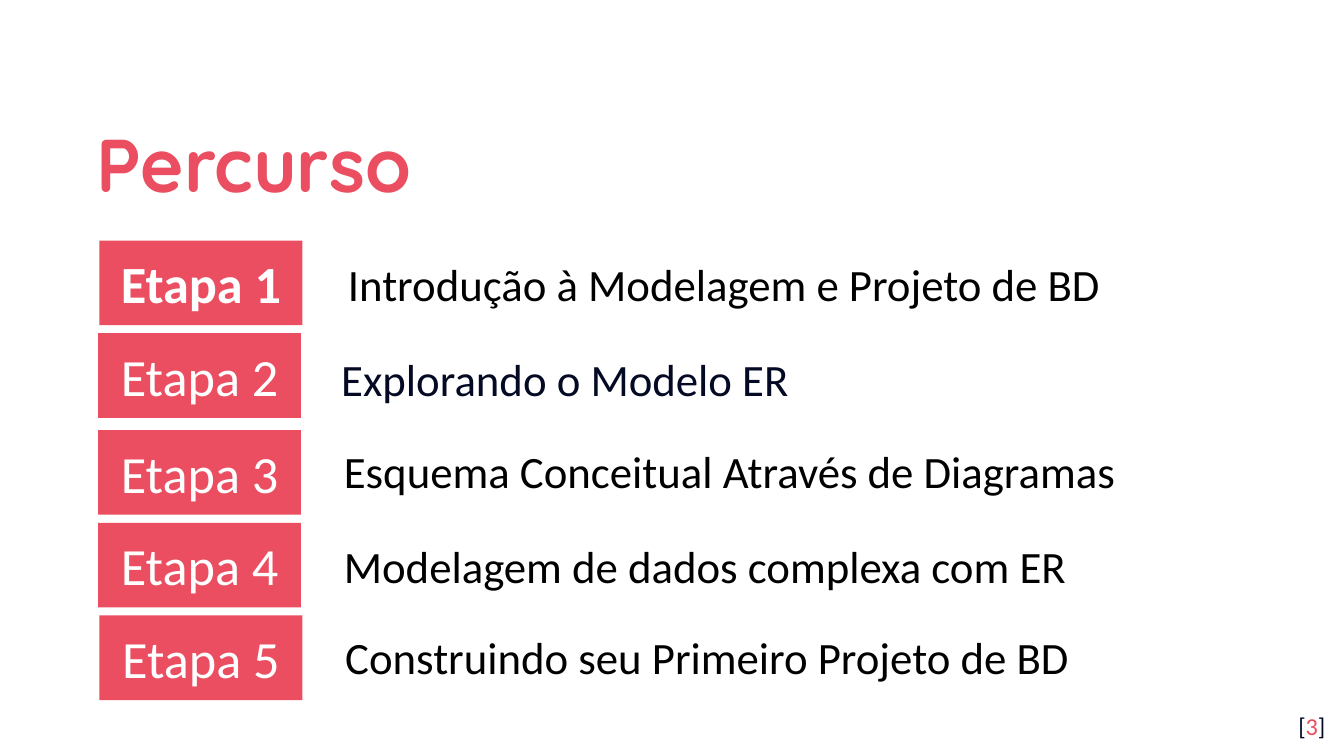
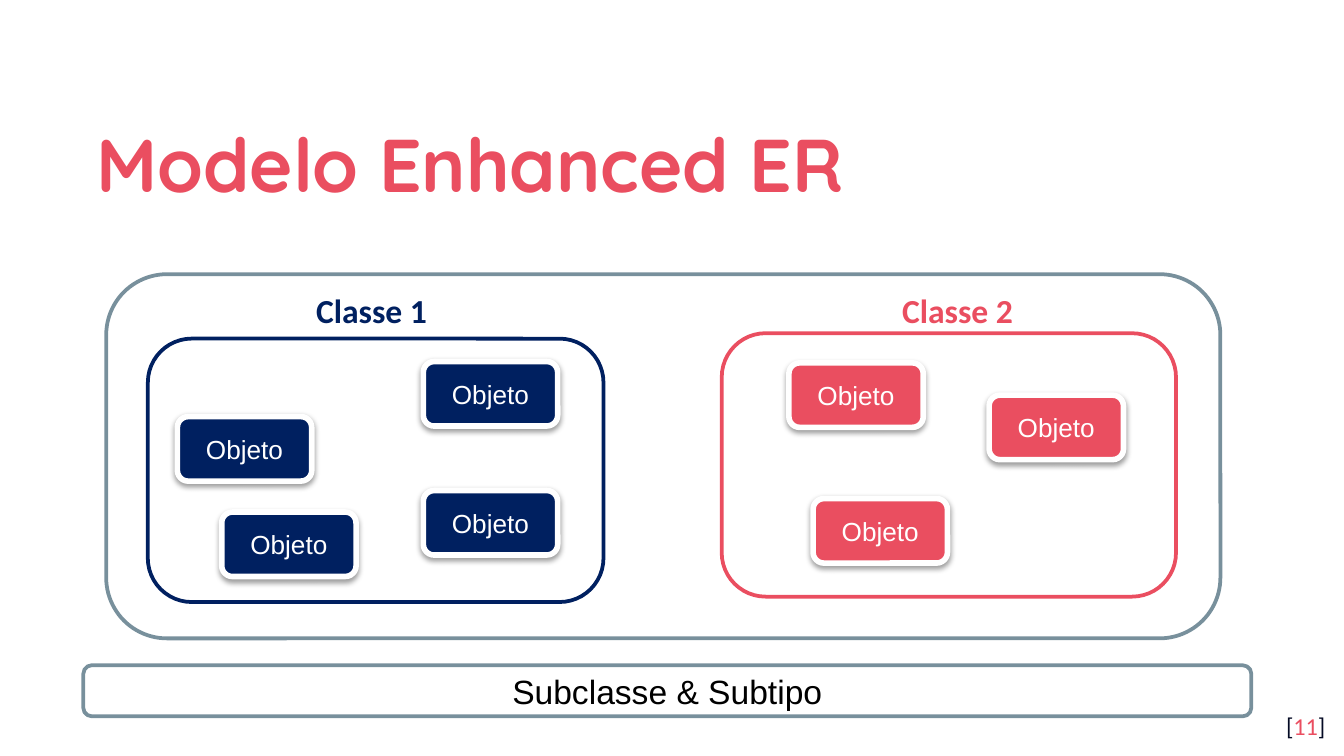
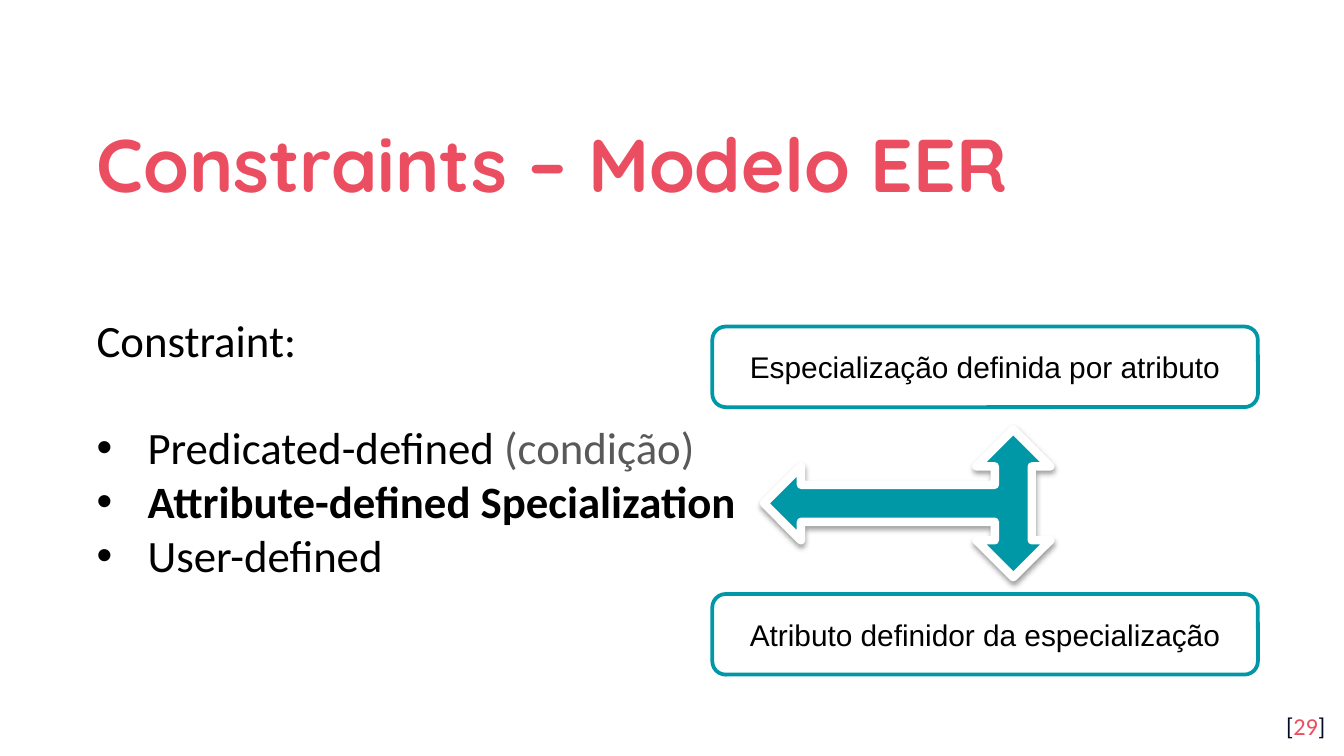
from dataclasses import dataclass
from typing import Optional

from lxml import etree
from pptx import Presentation
from pptx import util as u
from pptx.dml.color import RGBColor
from pptx.enum import shapes as sh, text as tx
from pptx.oxml.ns import qn

COLORS = {
    "red": "EA4E60", "navy": "002060", "ink": "040A24", "black": "000000",
    "white": "FFFFFF", "slate": "78909C", "teal": "0097A7", "gray": "595959",
}
ROUND = sh.MSO_SHAPE.ROUNDED_RECTANGLE
MIDDLE = tx.MSO_ANCHOR.MIDDLE
LEFT, CENTER, RIGHT = tx.PP_ALIGN.LEFT, tx.PP_ALIGN.CENTER, tx.PP_ALIGN.RIGHT


@dataclass(frozen=True)
class Box:
    left: float
    top: float
    width: float
    height: float

    def emu(self) -> tuple:
        return tuple(u.Inches(v) for v in (self.left, self.top, self.width, self.height))


@dataclass(frozen=True)
class Style:
    font: str
    size: float
    color: str
    bold: bool = False
    align: tx.PP_ALIGN = LEFT


@dataclass(frozen=True)
class Step:
    label: str
    topic: str
    tag: tuple
    spot: tuple
    color: str = "black"
    bold: bool = False


@dataclass(frozen=True)
class Group:
    label: str
    color: str
    frame: Box
    name: Box
    spots: tuple


@dataclass(frozen=True)
class Part:
    text: str
    color: str = "black"
    bold: bool = False


# Shared styles
TITLE = Style("Quicksand", 40, "red", True)
BODY = Style("Calibri", 24, "black")
FOOT = Style("Calibri", 13, "ink", align=RIGHT)


def rgb(name: str) -> RGBColor:
    return RGBColor.from_string(COLORS[name])


def format_run(run, style: Style, color: str, bold: bool) -> None:
    run.font.name = style.font
    run.font.size = u.Pt(style.size)
    run.font.bold = bold
    run.font.color.rgb = rgb(color)


def write(para, text: str, style: Style) -> None:
    para.text = text
    para.alignment = style.align
    format_run(para.runs[0], style, style.color, style.bold)


def write_parts(para, parts: tuple, style: Style) -> None:
    para.alignment = style.align
    for part in parts:
        run = para.add_run()
        run.text = part.text
        format_run(run, style, part.color, part.bold)


def add_frame(slide, box: Box, pad: float = 0.05, anchor=tx.MSO_ANCHOR.TOP):
    frame = slide.shapes.add_textbox(*box.emu()).text_frame
    frame.word_wrap = True
    frame.vertical_anchor = anchor
    frame.margin_top = frame.margin_bottom = u.Inches(pad)
    return frame


def add_shape(slide, kind, box: Box, fill: Optional[str] = None,
              line: Optional[str] = None, weight: float = 2,
              text: str = "", style: Optional[Style] = None):
    shape = slide.shapes.add_shape(kind, *box.emu())
    shape.shadow.inherit = False
    if fill:
        shape.fill.solid()
        shape.fill.fore_color.rgb = rgb(fill)
    else:
        shape.fill.background()
    if line:
        shape.line.color.rgb = rgb(line)
        shape.line.width = u.Pt(weight)
    else:
        shape.line.fill.background()
    if style:
        frame = shape.text_frame
        frame.word_wrap = True
        frame.vertical_anchor = MIDDLE
        write(frame.paragraphs[0], text, style)
    return shape


def add_shadow(shape) -> None:
    effects = shape._element.spPr.find(qn("a:effectLst"))
    outer = etree.SubElement(effects, qn("a:outerShdw"), blurRad=str(u.Pt(3.1)),
                             dist=str(u.Pt(1.6)), dir="5400000", rotWithShape="0")
    color = etree.SubElement(outer, qn("a:srgbClr"), val=COLORS["black"])
    etree.SubElement(color, qn("a:alpha"), val="38000")


def add_bullet(para) -> None:
    props = para._p.get_or_add_pPr()
    props.set("marL", str(u.Inches(0.38)))
    props.set("indent", str(u.Inches(-0.38)))
    color = etree.SubElement(props, qn("a:buClr"))
    etree.SubElement(color, qn("a:srgbClr"), val=COLORS["black"])
    etree.SubElement(props, qn("a:buFont"), typeface="Arial")
    etree.SubElement(props, qn("a:buChar"), char="•")


def add_page(deck, title: str, number: int, spacing: float = 1.14):
    slide = deck.slides.add_slide(deck.slide_layouts[6])
    para = add_frame(slide, Box(0.62, 0.7, 8.77, 0.92), 0.1, MIDDLE).paragraphs[0]
    write(para, title, TITLE)
    para.line_spacing = spacing
    foot = add_frame(slide, Box(9.36, 5.19, 0.6, 0.43), 0.1)
    write_parts(foot.paragraphs[0],
                (Part("[", "ink"), Part(str(number), "red"), Part("]", "ink")), FOOT)
    return slide


# Slide: course steps
STEPS = (
    Step("Etapa 1", "Introdução à Modelagem e Projeto de BD",
         (0.74, 1.79), (2.49, 1.86), bold=True),
    Step("Etapa 2", "Explorando o Modelo ER", (0.73, 2.48), (2.44, 2.57), "ink"),
    Step("Etapa 3", "Esquema Conceitual Através de Diagramas",
         (0.73, 3.2), (2.46, 3.25)),
    Step("Etapa 4", "Modelagem de dados complexa com ER", (0.73, 3.89), (2.46, 3.96)),
    Step("Etapa 5", "Construindo seu Primeiro Projeto de BD",
         (0.74, 4.58), (2.47, 4.64)),
)


def draw_steps(deck) -> None:
    slide = add_page(deck, "Percurso", 3, 1.15)
    for step in STEPS:
        add_shape(slide, sh.MSO_SHAPE.RECTANGLE, Box(*step.tag, 1.51, 0.63), "red",
                  text=step.label,
                  style=Style("Calibri", 28, "white", step.bold, CENTER))
        frame = add_frame(slide, Box(*step.spot, 6.75, 0.5))
        write(frame.paragraphs[0], step.topic, Style("Calibri", 24, step.color))


# Slide: classes and their objects
GROUPS = (
    Group("Classe 1", "navy", Box(1.1, 2.52, 3.39, 1.96), Box(1.65, 2.11, 2.23, 0.4),
          ((3.15, 2.69), (3.15, 3.65), (1.32, 3.1), (1.65, 3.81))),
    Group("Classe 2", "red", Box(5.37, 2.48, 3.38, 1.96), Box(6.01, 2.11, 2.23, 0.4),
          ((5.87, 2.7), (6.05, 3.71), (7.36, 2.94))),
)


def draw_model(deck) -> None:
    slide = add_page(deck, "Modelo Enhanced ER", 11)
    add_shape(slide, ROUND, Box(0.62, 4.95, 8.69, 0.38), "white", "slate",
              text="Subclasse & Subtipo",
              style=Style("Arial", 18, "black", align=CENTER))
    add_shape(slide, ROUND, Box(0.79, 2.04, 8.29, 2.71), "white", "slate")
    for group in GROUPS:
        for left, top in group.spots:
            add_shadow(add_shape(slide, ROUND, Box(left, top, 1, 0.48), group.color,
                                 "white", 3, "Objeto",
                                 Style("Arial", 14, "white", align=CENTER)))
        add_shape(slide, ROUND, group.frame, line=group.color)
        write(add_frame(slide, group.name).paragraphs[0], group.label,
              Style("Calibri", 18, group.color, True, CENTER))


# Slide: kinds of constraint
KINDS = (
    (Part("Predicated-defined "), Part("(condição)", "gray")),
    (Part("Attribute-defined Specialization", bold=True),),
    (Part("User-defined"),),
)
NOTES = (
    (4.42, "Atributo definidor da especialização"),
    (2.43, "Especialização definida por atributo"),
)


def draw_rules(deck) -> None:
    slide = add_page(deck, "Constraints – Modelo EER", 29)
    frame = add_frame(slide, Box(0.62, 1.62, 8.8, 3.41), 0.1, MIDDLE)
    write(frame.paragraphs[0], "Constraint:", BODY)
    for index, parts in enumerate(KINDS):
        para = frame.add_paragraph()
        add_bullet(para)
        write_parts(para, parts, BODY)
        if index == 0:
            para.space_before = u.Pt(29)
    for top, text in NOTES:
        add_shape(slide, ROUND, Box(5.3, top, 4.06, 0.6), "white", "teal", text=text,
                  style=Style("Arial", 16, "black", align=CENTER))
    arrow = add_shape(slide, sh.MSO_SHAPE.LEFT_RIGHT_UP_ARROW,
                      Box(6.2, 2.68, 1.1, 2.13), "teal", "white", 4.5)
    arrow.rotation = 270
    add_shadow(arrow)


def main() -> None:
    deck = Presentation()
    deck.slide_width = u.Inches(10)
    deck.slide_height = deck.slide_width * 9 // 16
    draw_steps(deck)
    draw_model(deck)
    draw_rules(deck)
    deck.save("out.pptx")


if __name__ == "__main__":
    main()
